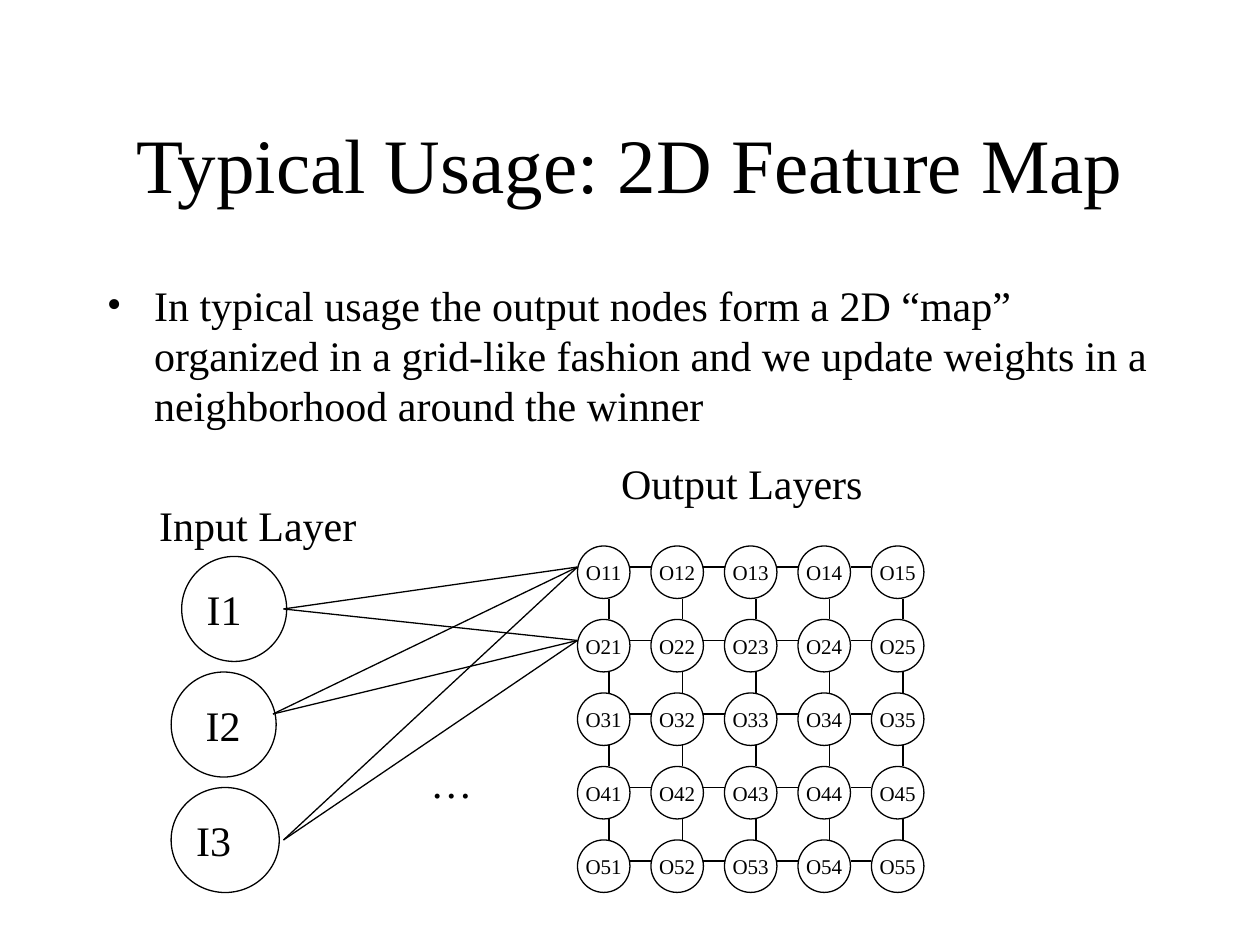
from lxml.etree import SubElement
from pptx import Presentation
from pptx.dml.color import RGBColor
from pptx.enum.shapes import MSO_CONNECTOR, MSO_SHAPE
from pptx.enum.text import MSO_ANCHOR, MSO_AUTO_SIZE, PP_ALIGN
from pptx.oxml.ns import qn
from pptx.util import Pt

PX = 7620
FONT = "Times New Roman"
COLORS = {"ink": "000000", "paper": "FFFFFF"}
GRID_N, PITCH, NODE = 5, 70, 50
PORT_X, PORT_Y = 30, 20


def px(*values):
    """Turn pixel lengths into EMU."""
    return [v * PX for v in values]


def color(name):
    """Look up a palette colour."""
    return RGBColor.from_string(COLORS[name])


def write(tf, text, size, align=PP_ALIGN.CENTER, anchor=MSO_ANCHOR.MIDDLE, wrap=False):
    """Put one formatted run into a text frame and return its paragraph."""
    tf.word_wrap = wrap
    tf.vertical_anchor = anchor
    p = tf.paragraphs[0]
    p.alignment = align
    r = p.add_run()
    r.text = text
    r.font.size = Pt(size)
    r.font.name = FONT
    r.font.color.rgb = color("ink")
    return p


def add_label(slide, box, text, **style):
    """Add an unwrapped 24 pt label."""
    tf = slide.shapes.add_textbox(*px(*box)).text_frame
    write(tf, text, 24, **style)
    tf.auto_size = MSO_AUTO_SIZE.SHAPE_TO_FIT_TEXT


def add_node(slide, box):
    """Add an outlined circle."""
    sp = slide.shapes.add_shape(MSO_SHAPE.OVAL, *px(*box))
    sp.shadow.inherit = False
    sp.fill.solid()
    sp.fill.fore_color.rgb = color("paper")
    sp.line.color.rgb = color("ink")
    sp.line.width = Pt(0.75)
    return sp


def add_link(slide, start, end):
    """Add a thin straight line."""
    link = slide.shapes.add_connector(MSO_CONNECTOR.STRAIGHT, *px(*start, *end))
    link.line.color.rgb = color("ink")
    link.line.width = Pt(0.75)
    SubElement(link._element.spPr, qn("a:effectLst"))


def add_title(slide, box):
    """Place the slide title."""
    title = slide.shapes.title
    title.left, title.top, title.width, title.height = px(*box)
    write(title.text_frame, "Typical Usage: 2D Feature Map", 44, wrap=True)


def add_body(slide, box):
    """Place the bulleted statement."""
    tf = slide.shapes.add_textbox(*px(*box)).text_frame
    p = write(
        tf,
        "In typical usage the output nodes form a 2D “map” organized in a "
        "grid-like fashion and we update weights in a neighborhood around the winner",
        24, align=PP_ALIGN.LEFT, anchor=MSO_ANCHOR.TOP, wrap=True,
    )
    pPr = p._p.get_or_add_pPr()
    hang, = px(45)
    pPr.set("marL", str(hang))
    pPr.set("indent", str(-hang))
    SubElement(pPr, qn("a:buFont"), typeface=FONT)
    SubElement(pPr, qn("a:buChar"), char="•")


def add_input_layer(slide, box):
    """Draw the input nodes and return the points their links leave from."""
    x, y, w, _ = box
    add_label(slide, (x - 4, y, w + 8, 60), "Input Layer")
    nodes = [
        ("I1", 33, 100, 44, (130, 110)),
        ("I2", 23, 100, 43, (120, 210)),
        ("I3", 23, 103, 34, (130, 330)),
    ]
    ports = []
    for i, (name, dx, width, label_dx, (port_x, port_y)) in enumerate(nodes):
        top = y + 60 + 110 * i
        add_node(slide, (x + dx, top, width, 100))
        add_label(slide, (x + label_dx, top + 20, 59, 60), name)
        ports.append((x + port_x, y + port_y))
    return ports


def add_output_grid(slide, box):
    """Draw the linked output nodes and return the ports of the first two rows."""
    x, y, _, _ = box
    add_label(slide, (x + 26, y, 261, 60), "Output Layers")
    y += 90
    for row in range(GRID_N):
        for col in range(GRID_N):
            left, top = x + PITCH * col, y + PITCH * row
            node = add_node(slide, (left, top, NODE, NODE))
            write(node.text_frame, f"O{row + 1}{col + 1}", 12)
            if col < GRID_N - 1:
                add_link(slide, (left + NODE, top + PORT_Y), (left + PITCH, top + PORT_Y))
            if row < GRID_N - 1:
                add_link(slide, (left + PORT_X, top + NODE), (left + PORT_X, top + PITCH))
    return [(x, y + PORT_Y + PITCH * row) for row in range(2)]


def add_network(slide, box):
    """Draw both layers and the links between them."""
    x, y, _, _ = box
    inputs = add_input_layer(slide, (x, y + 40, 211, 380))
    outputs = add_output_grid(slide, (x + 410, y, 330, 420))
    for end in outputs:
        for start in inputs:
            add_link(slide, start, end)
    add_label(slide, (x + 258, y + 285, 64, 108), "…",
              align=PP_ALIGN.LEFT, anchor=MSO_ANCHOR.TOP)


def main():
    """Build and save the slide."""
    prs = Presentation()
    prs.slide_width, prs.slide_height = px(1200, 900)
    slide = prs.slides.add_slide(prs.slide_layouts[5])
    add_title(slide, (90, 80, 1020, 150))
    add_body(slide, (90, 260, 1020, 540))
    add_network(slide, (140, 430, 740, 420))
    prs.save("out.pptx")


if __name__ == "__main__":
    main()
